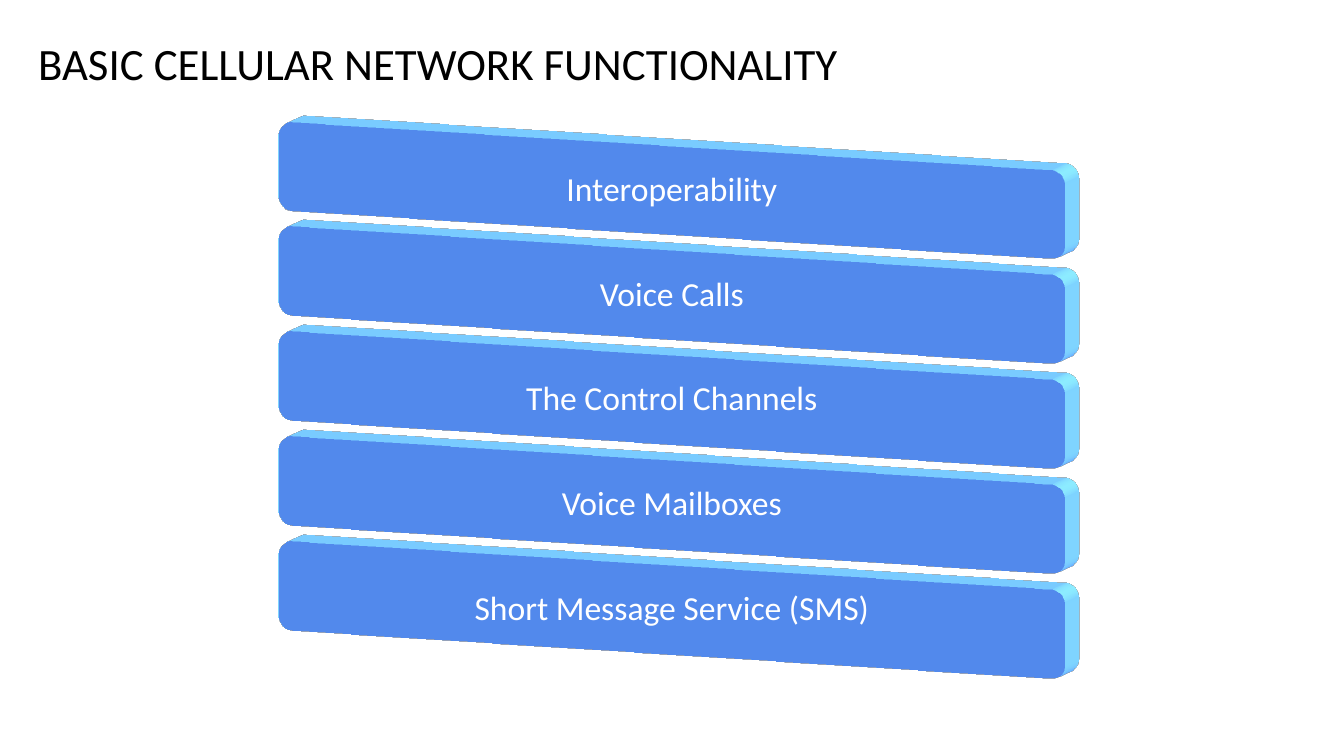
"""Build the slide on basic cellular network functionality."""
from dataclasses import dataclass

from lxml.etree import SubElement
from pptx import Presentation
from pptx.dml.color import RGBColor as Rgb
from pptx.enum.shapes import MSO_SHAPE as Preset
from pptx.enum.text import MSO_ANCHOR as Anchor, PP_ALIGN as Align
from pptx.oxml.ns import qn
from pptx.shapes.autoshape import Shape
from pptx.shapes.shapetree import GroupShapes
from pptx.text.text import TextFrame
from pptx.util import Pt


@dataclass(frozen=True)
class Theme:
    font: str = "Calibri"
    title_size: int = 32
    label_size: int = 24
    title: Rgb = Rgb(0, 0, 0)
    label: Rgb = Rgb(255, 255, 255)
    slab: Rgb = Rgb(0x44, 0x72, 0xC4)


@dataclass(frozen=True)
class Slab:
    label: str
    top: float
    left: float = 180.72
    width: float = 598.32
    height: float = 64.6
    label_inset: float = 3.1


@dataclass(frozen=True)
class View:
    latitude: int = 10
    longitude: int = 20
    depth: int = 30


THEME = Theme()
VIEW = View()
DEGREE = 60000
FIRST_TOP, PITCH = 103.68, 74.88
FEATURES = (
    "Interoperability",
    "Voice Calls",
    "The Control Channels",
    "Voice Mailboxes",
    "Short Message Service (SMS)",
)


def turn_into_solid(slab: Shape, view: View) -> None:
    """Turn a flat shape in space and give it depth."""
    properties = slab.element.spPr
    scene = SubElement(properties, qn("a:scene3d"))
    camera = SubElement(scene, qn("a:camera"), prst="orthographicFront")
    SubElement(
        camera,
        qn("a:rot"),
        lat=str(view.latitude * DEGREE),
        lon=str(view.longitude * DEGREE),
        rev="0",
    )
    SubElement(scene, qn("a:lightRig"), rig="flat", dir="t")
    SubElement(
        properties,
        qn("a:sp3d"),
        extrusionH=str(Pt(view.depth)),
        prstMaterial="matte",
    )


def write_text(frame: TextFrame, text: str, size: int, color: Rgb, align: Align) -> None:
    """Write one vertically centred paragraph."""
    frame.word_wrap = True
    frame.vertical_anchor = Anchor.MIDDLE
    frame.text = text
    paragraph = frame.paragraphs[0]
    paragraph.alignment = align
    font = paragraph.runs[0].font
    font.name, font.size, font.color.rgb = THEME.font, Pt(size), color


def draw_slab(shapes: GroupShapes, slab: Slab) -> None:
    """Draw one solid slab and its label."""
    block = shapes.add_shape(
        Preset.ROUNDED_RECTANGLE,
        Pt(slab.left), Pt(slab.top), Pt(slab.width), Pt(slab.height),
    )
    block.fill.solid()
    block.fill.fore_color.rgb = THEME.slab
    block.line.fill.background()
    block.shadow.inherit = False
    turn_into_solid(block, VIEW)

    inset = slab.label_inset
    label = shapes.add_textbox(
        Pt(slab.left + inset),
        Pt(slab.top + inset),
        Pt(slab.width - 2 * inset),
        Pt(slab.height - 2 * inset),
    )
    frame = label.text_frame
    frame.margin_top = frame.margin_bottom = Pt(7.2)
    write_text(frame, slab.label, THEME.label_size, THEME.label, Align.CENTER)
    frame.paragraphs[0].line_spacing = 0.9


def main() -> None:
    """Create and save the slide."""
    deck = Presentation()
    deck.slide_width, deck.slide_height = Pt(960), Pt(540)
    shapes = deck.slides.add_slide(deck.slide_layouts[6]).shapes
    heading = shapes.add_textbox(Pt(20.16), Pt(0), Pt(920.88), Pt(90))
    write_text(
        heading.text_frame,
        "BASIC CELLULAR NETWORK FUNCTIONALITY",
        THEME.title_size,
        THEME.title,
        Align.LEFT,
    )
    stack = shapes.add_group_shape()
    for index, feature in enumerate(FEATURES):
        draw_slab(stack.shapes, Slab(feature, FIRST_TOP + index * PITCH))
    deck.save("out.pptx")


if __name__ == "__main__":
    main()
